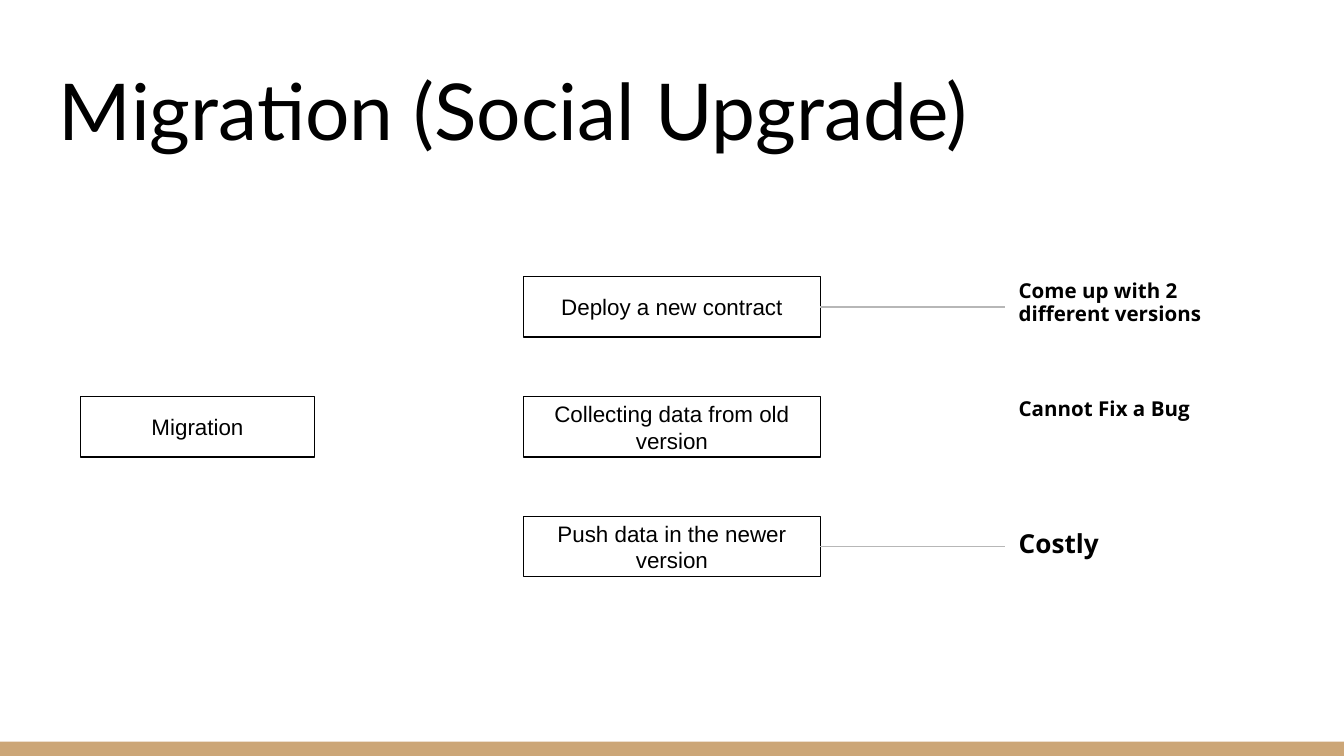
import pptx
import pptx.dml.color
import pptx.enum.shapes
import pptx.enum.text
import pptx.oxml.ns
import pptx.util
from lxml import etree

Pt = pptx.util.Pt
ANCHOR = pptx.enum.text.MSO_ANCHOR
ALIGN = pptx.enum.text.PP_ALIGN
RECTANGLE = pptx.enum.shapes.MSO_SHAPE.RECTANGLE

BLACK = pptx.dml.color.RGBColor(0x00, 0x00, 0x00)
WHITE = pptx.dml.color.RGBColor(0xFF, 0xFF, 0xFF)
TAN = pptx.dml.color.RGBColor(0xCC, 0xA6, 0x77)
GREY = pptx.dml.color.RGBColor(0xB7, 0xB7, 0xB7)

WIDTH, HEIGHT = 720, 405
BOX_HEIGHT = 32.4
STEP_LEFT, STEP_WIDTH = 280.5, 159
NOTE_LEFT = 538.6
FIRST_ROW, ROW_PITCH = 148.2, 64.2


def write(shape, text, font_name, size, anchor, align=ALIGN.LEFT, bold=False):
    frame = shape.text_frame
    frame.word_wrap = True
    frame.vertical_anchor = anchor
    frame.margin_left = frame.margin_right = Pt(7.2)
    frame.margin_top = frame.margin_bottom = Pt(7.2)
    paragraph = frame.paragraphs[0]
    paragraph.text = text
    paragraph.alignment = align
    paragraph.font.name = font_name
    paragraph.font.size = Pt(size)
    paragraph.font.bold = bold
    paragraph.font.color.rgb = BLACK
    return paragraph


def add_box(left, top, width, text):
    box = slide.shapes.add_shape(RECTANGLE, Pt(left), Pt(top), Pt(width), Pt(BOX_HEIGHT))
    box.shadow.inherit = False
    box.fill.solid()
    box.fill.fore_color.rgb = WHITE
    box.line.color.rgb = BLACK
    box.line.width = Pt(0.75)
    write(box, text, "Arial", 12, ANCHOR.MIDDLE, ALIGN.CENTER)


presentation = pptx.Presentation()
presentation.slide_width = Pt(WIDTH)
presentation.slide_height = Pt(HEIGHT)
slide = presentation.slides.add_slide(presentation.slide_layouts[6])

footer_bar = slide.shapes.add_shape(RECTANGLE, 0, Pt(397.4), Pt(WIDTH), Pt(7.6))
footer_bar.shadow.inherit = False
footer_bar.fill.solid()
footer_bar.fill.fore_color.rgb = TAN
footer_bar.line.fill.background()

title = slide.shapes.add_textbox(Pt(24.5), Pt(25.2), Pt(671), Pt(65.5))
write(title, "Migration (Social Upgrade)", "Lato", 42, ANCHOR.BOTTOM)

add_box(43.2, FIRST_ROW + ROW_PITCH, 125.3, "Migration")

# Step, note, note size, note top, note width, note height, joined by a line
steps = [
    ("Deploy a new contract", "Come up with 2 different versions", 11, 143.4, 125.3, 41, True),
    ("Collecting data from old version", "Cannot Fix a Bug", 11, 207.8, 111.6, 28, False),
    ("Push data in the newer version", "Costly", 14, 277, 59, 31.7, True),
]
for row, (step, note, size, note_top, note_width, note_height, joined) in enumerate(steps):
    top = FIRST_ROW + row * ROW_PITCH
    add_box(STEP_LEFT, top, STEP_WIDTH, step)

    note_box = slide.shapes.add_textbox(
        Pt(NOTE_LEFT), Pt(note_top), Pt(note_width), Pt(note_height))
    write(note_box, note, "Open Sans", size, ANCHOR.TOP, bold=True).line_spacing = 0.9

    if joined:
        middle = Pt(top + BOX_HEIGHT / 2)
        link = slide.shapes.add_connector(
            pptx.enum.shapes.MSO_CONNECTOR.STRAIGHT,
            Pt(STEP_LEFT + STEP_WIDTH), middle, Pt(NOTE_LEFT), middle)
        link.line.color.rgb = GREY
        link.line.width = Pt(0.75)
        etree.SubElement(link._element.spPr, pptx.oxml.ns.qn("a:effectLst"))

presentation.save("out.pptx")
